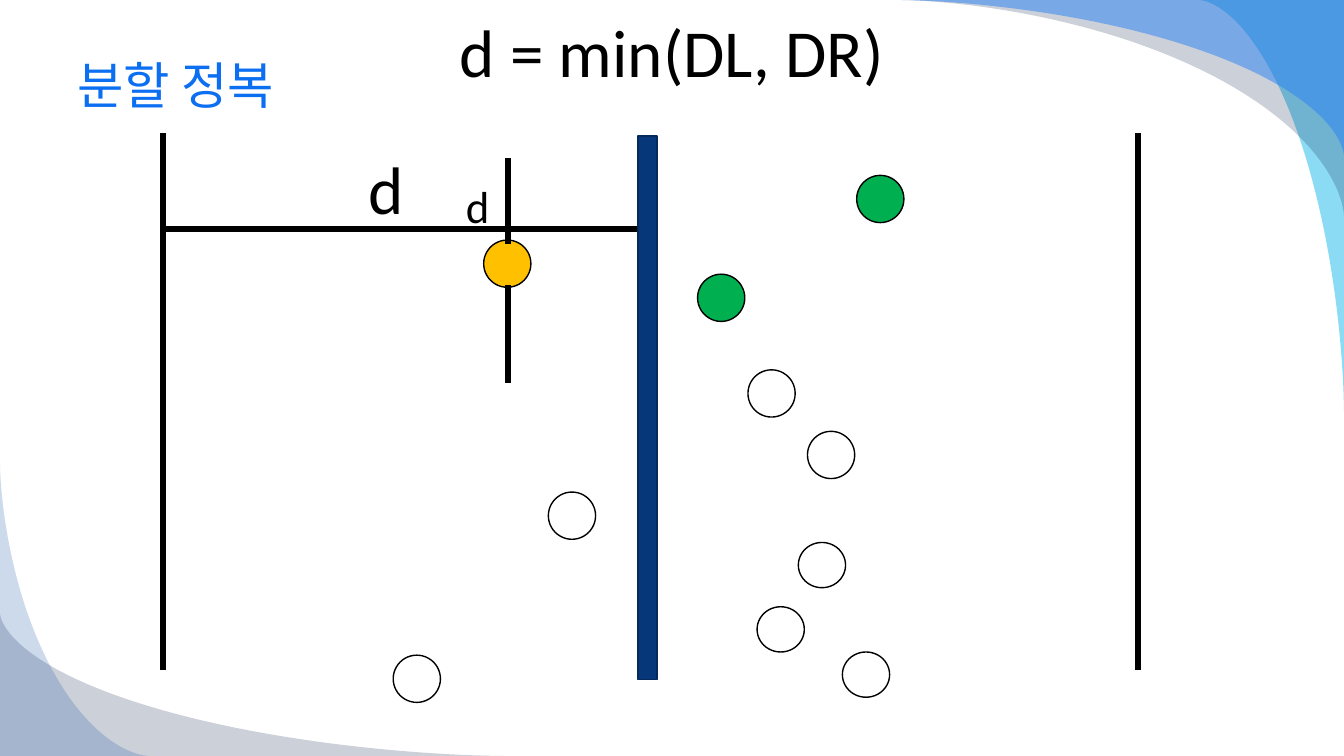
"""Build the divide and conquer slide on the closest pair of points."""
import math

import lxml.etree
import pptx
import pptx.dml.color
import pptx.enum.shapes
import pptx.enum.text
import pptx.oxml.ns
import pptx.util

Cm, Pt, qn = pptx.util.Cm, pptx.util.Pt, pptx.oxml.ns.qn
SHAPE = pptx.enum.shapes.MSO_SHAPE
COLORS = {
    "black": "000000", "white": "FFFFFF", "green": "00B050", "orange": "FFC000",
    "title": "0C6FF2", "bar": "063879", "bar_edge": "04295A",
    "cyan": "00B1E9", "navy": "021741", "blue": "247FF4", "royal": "084AA1",
}
W, H = 33.87, 19.05


def paint(sp, fill, line=None, alpha=100):
    sp.shadow.inherit = False
    sp.fill.solid()
    sp.fill.fore_color.rgb = pptx.dml.color.RGBColor.from_string(COLORS[fill])
    if alpha < 100:
        clr = sp._element.spPr.find(qn("a:solidFill"))[0]
        lxml.etree.SubElement(clr, qn("a:alpha")).set("val", str(alpha * 1000))
    if line:
        sp.line.color.rgb = pptx.dml.color.RGBColor.from_string(COLORS[line])
        sp.line.width = Pt(1)
    else:
        sp.line.fill.background()


def write(tf, text, size, color, align):
    p = tf.paragraphs[0]
    p.alignment = align
    r = p.add_run()
    r.text = text
    r.font.size = Pt(size)
    r.font.name = "Calibri"
    r.font.color.rgb = pptx.dml.color.RGBColor.from_string(COLORS[color])
    return p


prs = pptx.Presentation()
prs.slide_width, prs.slide_height = Cm(W), Cm(H)
s = prs.slides.add_slide(prs.slide_layouts[5])

# Corner swooshes follow (x/w)^p + (y/h)^p = 1 with p = 2/3.28
swooshes = [
    (W, 0, -3.66, 10.36, "cyan", 45),
    (W, 0, -11.28, 5.46, "navy", 20),
    (W, 0, -11.28, 3.94, "blue", 49),
    (0, H, 12.7, -3.61, "navy", 20),
    (0, H, 3.76, -7.42, "royal", 20),
]
for x, y, w, h, color, alpha in swooshes:
    angles = [math.pi / 2 * i / 60 for i in range(61)]
    points = [(Cm(x + w * math.cos(a) ** 3.28), Cm(y + h * math.sin(a) ** 3.28))
              for a in angles]
    fb = s.shapes.build_freeform(Cm(x), Cm(y))
    fb.add_line_segments(points, close=True)
    paint(fb.convert_to_shape(), color, alpha=alpha)

title = s.shapes.title
s.shapes.element.append(title.element)
title.left, title.top, title.width, title.height = Cm(1.7), Cm(0.84), Cm(30.48), Cm(2.57)
tf = title.text_frame
tf.auto_size = pptx.enum.text.MSO_AUTO_SIZE.NONE
tf.vertical_anchor = pptx.enum.text.MSO_ANCHOR.MIDDLE
write(tf, "분할 정복", 36, "title", pptx.enum.text.PP_ALIGN.LEFT)

bar = s.shapes.add_shape(SHAPE.RECTANGLE, Cm(16.08), Cm(3.43), Cm(0.48), Cm(13.69))
paint(bar, "bar", "bar_edge")

dots = [
    (21.59, 4.42, 1.19, "green"), (17.58, 6.91, 1.19, "green"),
    (12.19, 6.05, 1.19, "orange"), (13.82, 12.4, 1.19, "white"),
    (9.91, 16.51, 1.19, "white"), (18.85, 9.32, 1.19, "white"),
    (20.35, 10.87, 1.19, "white"), (20.12, 13.67, 1.14, "white"),
    (19.08, 15.29, 1.14, "white"), (21.23, 16.43, 1.14, "white"),
]
for x, y, h, color in dots:
    paint(s.shapes.add_shape(SHAPE.OVAL, Cm(x), Cm(y), Cm(1.19), Cm(h)), color, "black")

rules = [
    (4.11, 16.81, 4.11, 3.43), (28.68, 16.81, 28.68, 3.43),
    (4.19, 5.77, 15.98, 5.77),
    (12.8, 6.07, 12.8, 4.06), (12.8, 9.58, 12.8, 7.26),
]
for x1, y1, x2, y2 in rules:
    cn = s.shapes.add_connector(pptx.enum.shapes.MSO_CONNECTOR.STRAIGHT,
                                Cm(x1), Cm(y1), Cm(x2), Cm(y2))
    cn.line.color.rgb = pptx.dml.color.RGBColor.from_string(COLORS["black"])
    cn.line.width = Pt(4.5)
    spPr = cn._element.spPr
    spPr.find(qn("a:ln")).set("cap", "sq")
    lxml.etree.SubElement(spPr, qn("a:effectLst"))

labels = [
    ("d = min(DL, DR)", 48, 9.93, 0.13, 14, 2.39),
    ("d", 48, 8.74, 3.58, 1.98, 2.39),
    ("d", 32, 11.33, 4.39, 1.42, 1.55),
]
for text, size, x, y, w, h in labels:
    tf = s.shapes.add_textbox(Cm(x), Cm(y), Cm(w), Cm(h)).text_frame
    tf.word_wrap = True
    p = write(tf, text, size, "black", pptx.enum.text.PP_ALIGN.CENTER)
    p.space_before = Pt(2)

prs.save("out.pptx")
